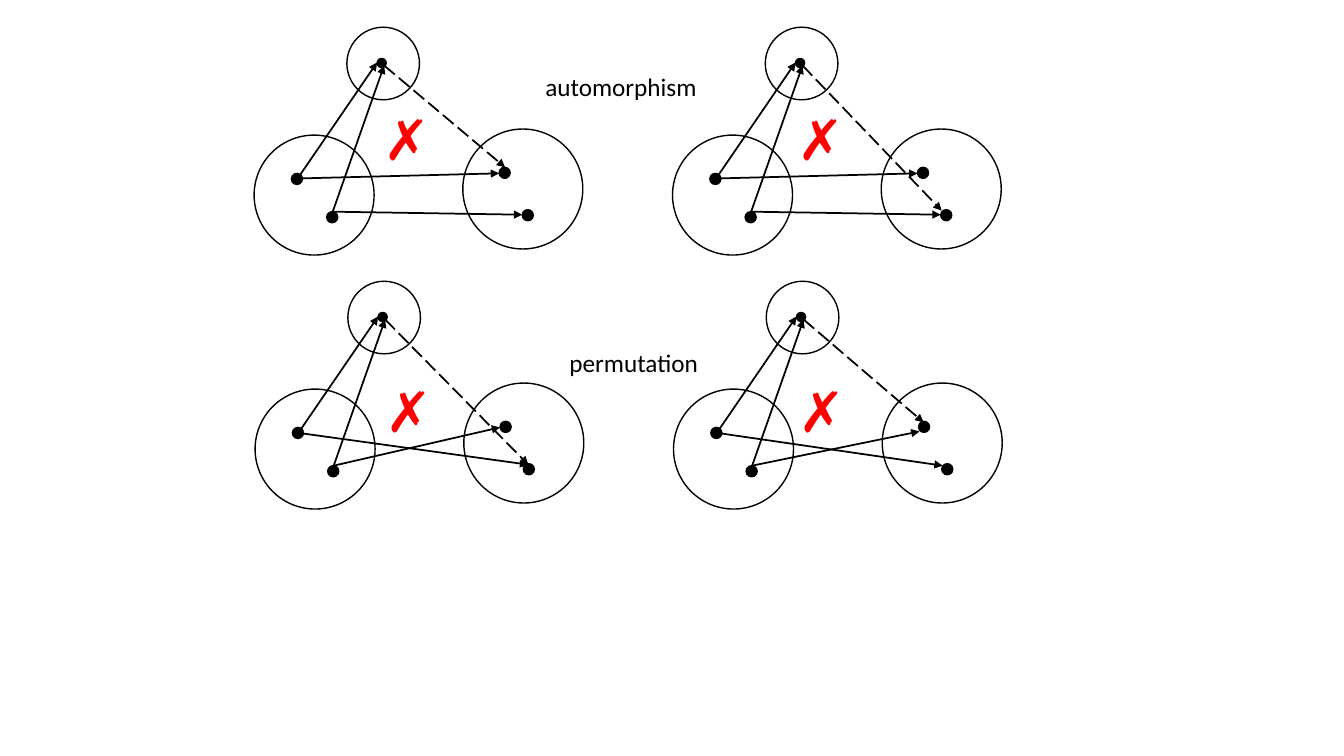
"""Draw four graph mappings that compare automorphism and permutation."""
from typing import NamedTuple

from lxml import etree
from pptx import Presentation
from pptx.dml.color import RGBColor
from pptx.enum.dml import MSO_LINE
from pptx.enum.shapes import MSO_CONNECTOR, MSO_SHAPE
from pptx.oxml.ns import qn
from pptx.shapes.group import GroupShape
from pptx.slide import Slide
from pptx.util import Inches, Pt

COLORS = {"ink": "000000", "cross": "FF0000"}


class Circle(NamedTuple):
    left: float
    top: float
    size: float
    filled: bool = False


class Arrow(NamedTuple):
    start: tuple[float, float]
    end: tuple[float, float]
    dashed: bool = False


class Diagram(NamedTuple):
    left: float
    top: float
    arrows: list[Arrow]


class Label(NamedTuple):
    left: float
    top: float
    width: float
    height: float
    text: str
    size: int
    font: str
    color: str


CIRCLES = [
    Circle(1.22, 0.31, 0.09, True),
    Circle(0.92, 0, 0.72),
    Circle(0.37, 1.45, 0.11, True),
    Circle(0.72, 1.83, 0.11, True),
    Circle(0, 1.07, 1.19),
    Circle(2.43, 1.39, 0.11, True),
    Circle(2.66, 1.81, 0.11, True),
    Circle(2.07, 1.01, 1.19),
]

APEX = (1.29, 0.38)
LOWER_LEFT = (0.78, 1.83)
UPWARD = [Arrow((0.46, 1.46), (1.22, 0.35)), Arrow(LOWER_LEFT, APEX)]
STRAIGHT = [Arrow((0.47, 1.5), (2.43, 1.45)), Arrow(LOWER_LEFT, (2.66, 1.86))]

LEFT_COLUMN, RIGHT_COLUMN = 2.52, 6.67
TOP_ROW, BOTTOM_ROW = 0.27, 2.79
ROW_SHIFT = 0.01

DIAGRAMS = [
    Diagram(LEFT_COLUMN, TOP_ROW, [*STRAIGHT, Arrow(APEX, (2.49, 1.39), True)]),
    Diagram(LEFT_COLUMN + ROW_SHIFT, BOTTOM_ROW, [
        Arrow((0.47, 1.51), (2.71, 1.82)),
        Arrow(LOWER_LEFT, (2.43, 1.45)),
        Arrow(APEX, (2.71, 1.82), True),
    ]),
    Diagram(RIGHT_COLUMN, TOP_ROW, [*STRAIGHT, Arrow(APEX, (2.67, 1.82), True)]),
    Diagram(RIGHT_COLUMN + ROW_SHIFT, BOTTOM_ROW, [
        Arrow((0.47, 1.51), (2.67, 1.83)),
        Arrow(LOWER_LEFT, (2.44, 1.49)),
        Arrow(APEX, (2.48, 1.4), True),
    ]),
]

CROSSES = [(7.81, 0.99), (7.82, 3.69), (3.71, 0.99), (3.73, 3.69)]
LABELS = [
    *(Label(left, top, 0.36, 0.77, "✗", 40, "Arial", "cross") for left, top in CROSSES),
    Label(5.31, 0.66, 1.76, 0.4, "automorphism", 18, "Calibri", "ink"),
    Label(5.55, 3.4, 1.76, 0.4, "permutation", 18, "Calibri", "ink"),
]


def color(name: str) -> RGBColor:
    return RGBColor.from_string(COLORS[name])


def draw_circle(group: GroupShape, diagram: Diagram, circle: Circle) -> None:
    shape = group.shapes.add_shape(
        MSO_SHAPE.OVAL,
        Inches(diagram.left + circle.left), Inches(diagram.top + circle.top),
        Inches(circle.size), Inches(circle.size),
    )
    shape.shadow.inherit = False
    if circle.filled:
        shape.fill.solid()
        shape.fill.fore_color.rgb = color("ink")
    else:
        shape.fill.background()
    shape.line.color.rgb = color("ink")
    shape.line.width = Pt(1)


def draw_arrow(group: GroupShape, diagram: Diagram, arrow: Arrow) -> None:
    connector = group.shapes.add_connector(
        MSO_CONNECTOR.STRAIGHT,
        Inches(diagram.left + arrow.start[0]), Inches(diagram.top + arrow.start[1]),
        Inches(diagram.left + arrow.end[0]), Inches(diagram.top + arrow.end[1]),
    )
    connector.line.color.rgb = color("ink")
    connector.line.width = Pt(1.25)
    if arrow.dashed:
        connector.line.dash_style = MSO_LINE.LONG_DASH
    properties = connector._element.spPr
    etree.SubElement(properties.find(qn("a:ln")), qn("a:tailEnd"), type="triangle")
    etree.SubElement(properties, qn("a:effectLst"))


def draw_diagram(slide: Slide, diagram: Diagram) -> None:
    group = slide.shapes.add_group_shape()
    for circle in CIRCLES:
        draw_circle(group, diagram, circle)
    for arrow in UPWARD + diagram.arrows:
        draw_arrow(group, diagram, arrow)


def draw_label(slide: Slide, label: Label) -> None:
    text_box = slide.shapes.add_textbox(
        Inches(label.left), Inches(label.top), Inches(label.width), Inches(label.height)
    )
    text_frame = text_box.text_frame
    text_frame.word_wrap = True
    text_frame.text = label.text
    font = text_frame.paragraphs[0].runs[0].font
    font.name = label.font
    font.size = Pt(label.size)
    font.color.rgb = color(label.color)


def main() -> None:
    presentation = Presentation()
    presentation.slide_width = Inches(13.33)
    presentation.slide_height = Inches(7.5)
    slide = presentation.slides.add_slide(presentation.slide_layouts[6])
    for diagram in DIAGRAMS:
        draw_diagram(slide, diagram)
    for label in LABELS:
        draw_label(slide, label)
    presentation.save("out.pptx")


if __name__ == "__main__":
    main()
